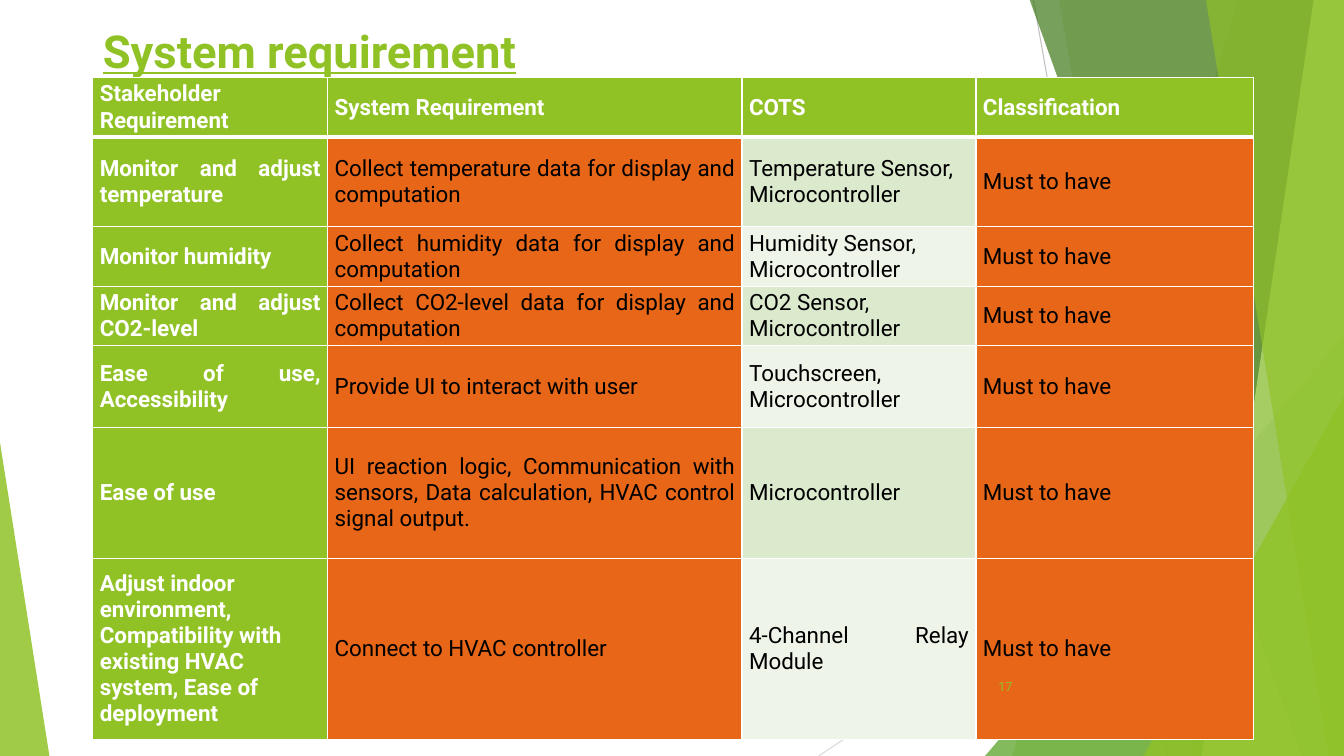
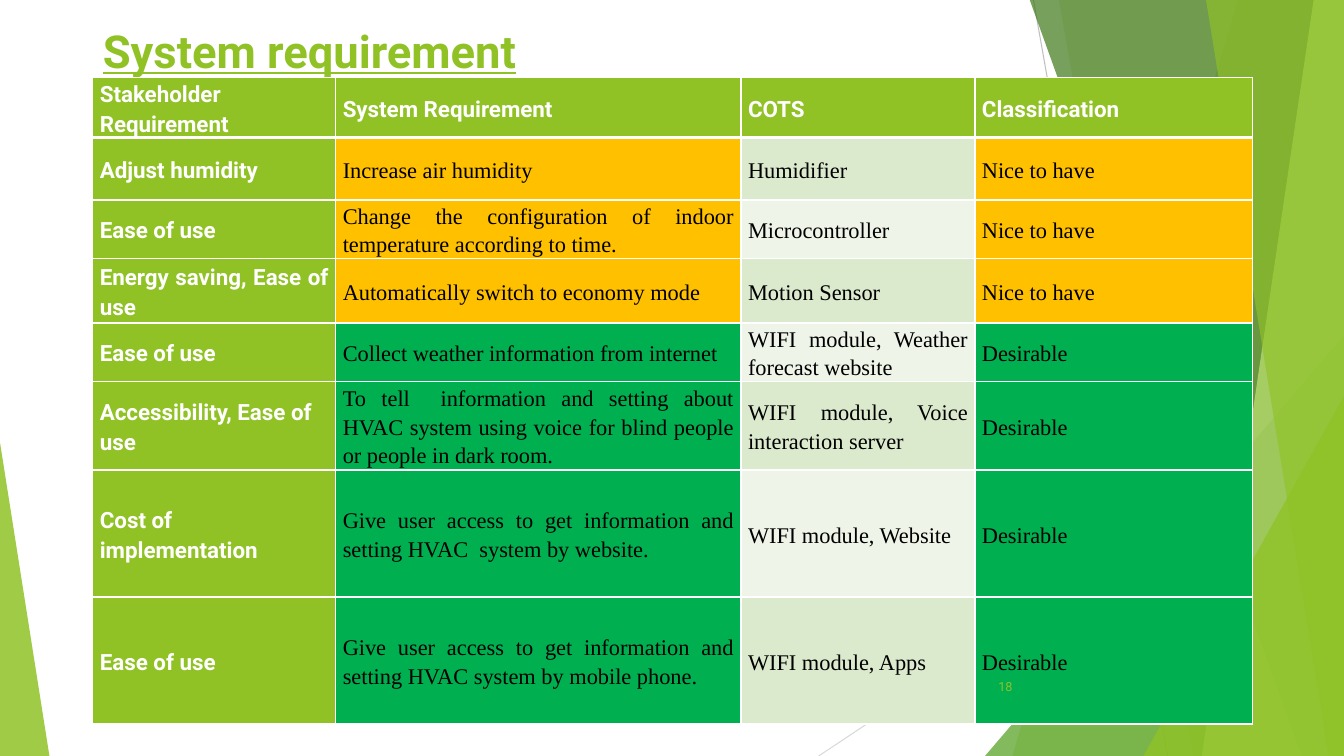
from dataclasses import dataclass
from typing import Any

from lxml.etree import SubElement
from pptx import Presentation
from pptx.dml.color import RGBColor
from pptx.enum.shapes import MSO_CONNECTOR as Link, MSO_SHAPE as Kind
from pptx.enum.text import MSO_ANCHOR as Anchor, MSO_AUTO_SIZE as Fit, PP_ALIGN as Align
from pptx.oxml import parse_xml
from pptx.oxml.ns import nsdecls, qn
from pptx.slide import Slide, SlideLayout
from pptx.util import Inches, Pt

WIDE, HIGH = 13.33, 7.5
LEFT, SPAN = 0.92, 11.5
TOP = 0.77

WHITE = RGBColor(0xFF, 0xFF, 0xFF)
BLACK = RGBColor(0, 0, 0)
LIME = RGBColor(0x90, 0xC2, 0x26)
LEAF = RGBColor(0x54, 0xA0, 0x21)
MOSS = RGBColor(0x3F, 0x78, 0x19)
PALE = RGBColor(0xC0, 0xE4, 0x74)
SILVER = RGBColor(0xBF, 0xBF, 0xBF)
MIST = RGBColor(0xD9, 0xD9, 0xD9)
RUST = RGBColor(0xE7, 0x66, 0x18)
AMBER = RGBColor(0xFF, 0xC0, 0x00)
JADE = RGBColor(0x00, 0xB0, 0x50)
BANDS = RGBColor(0xDB, 0xE9, 0xCD), RGBColor(0xEE, 0xF4, 0xE8)
RANKS = {"Must to have": RUST, "Nice to have": AMBER, "Desirable": JADE}

SANS, SERIF = "Roboto", "Times New Roman"
TITLE = {"name": SANS, "size": Pt(32.4), "bold": True, "underline": True}
HEAD = {"name": SANS, "size": Pt(16), "bold": True}
BODY = {"size": Pt(16), "bold": False}
NUMBER = {"name": SANS, "size": Pt(9)}
CELL = {
    "vertical_anchor": Anchor.MIDDLE,
    "margin_left": Inches(0.07), "margin_right": Inches(0.07),
    "margin_top": 0, "margin_bottom": 0,
}
ALIGNS = {"l": Align.LEFT, "j": Align.JUSTIFY}


@dataclass
class Ray:
    start: tuple[float, float]
    end: tuple[float, float]
    color: RGBColor


@dataclass
class Shard:
    """A pane from the right edge to a slanted side, top x to foot x."""
    top: float
    foot: float
    color: RGBColor
    alpha: int


@dataclass
class Wedge:
    """A triangle on the bottom edge; peak is 0 for left, 1 for right."""
    left: float
    top: float
    width: float
    peak: float
    color: RGBColor
    alpha: int


@dataclass
class Row:
    """One table row; align has a letter for each cell."""
    height: float
    align: str
    need: str
    system: str
    cots: str
    rank: str


@dataclass
class Page:
    number: int
    font: str
    spacing: float
    cols: tuple[float, ...]
    rows: list[Row]


RAYS = [
    Ray((10.25, 0), (11.58, HIGH), SILVER),
    Ray((WIDE, 4.03), (8.12, HIGH), MIST),
]
PANES = [
    Shard(12.28, 10.04, LIME, 30),
    Shard(10.5, 11.83, LIME, 20),
    Wedge(9.77, 3.33, 3.56, 1, LEAF, 72),
    Shard(10.21, 12.91, MOSS, 70),
    Shard(13.03, 11.92, PALE, 70),
    Shard(11.96, 13.18, LIME, 65),
    Wedge(11.34, 3.93, 1.99, 1, LIME, 80),
    Wedge(0, 4.39, 0.49, 0, LIME, 85),
]


def header(height: float) -> Row:
    return Row(height, "lljj", "Stakeholder Requirement", "System Requirement",
               "COTS", "Classification")


PAGES = [
    Page(17, SANS, 1, (2.33, 4.11, 2.32, 2.75), [
        header(0.59),
        Row(0.89, "jjlj", "Monitor and adjust temperature",
            "Collect temperature data for display and computation",
            "Temperature Sensor, Microcontroller", "Must to have"),
        Row(0.59, "jjlj", "Monitor humidity",
            "Collect humidity data for display and computation",
            "Humidity Sensor, Microcontroller", "Must to have"),
        Row(0.59, "jjlj", "Monitor and adjust CO2-level",
            "Collect CO2-level data for display and computation",
            "CO2 Sensor, Microcontroller", "Must to have"),
        Row(0.81, "jjlj", "Ease of use, Accessibility",
            "Provide UI to interact with user",
            "Touchscreen, Microcontroller", "Must to have"),
        Row(1.3, "ljjj", "Ease of use",
            "UI reaction logic, Communication with sensors, Data calculation, "
            "HVAC control signal output.",
            "Microcontroller", "Must to have"),
        Row(1.8, "ljjj",
            "Adjust indoor environment, Compatibility with existing HVAC system, "
            "Ease of deployment",
            "Connect to HVAC controller", "4-Channel Relay Module", "Must to have"),
    ]),
    Page(18, SERIF, 1.15, (2.41, 4.02, 2.32, 2.75), [
        header(0.58),
        Row(0.62, "ljjj", "Adjust humidity", "Increase air humidity",
            "Humidifier", "Nice to have"),
        Row(0.58, "ljjj", "Ease of use",
            "Change the configuration of indoor temperature according to time.",
            "Microcontroller", "Nice to have"),
        Row(0.64, "jjjj", "Energy saving, Ease of use",
            "Automatically switch to economy mode",
            "Motion Sensor", "Nice to have"),
        Row(0.58, "jjjj", "Ease of use",
            "Collect weather information from internet",
            "WIFI module, Weather forecast website", "Desirable"),
        Row(0.88, "ljjj", "Accessibility, Ease of use",
            "To tell  information and setting about HVAC system using voice "
            "for blind people or people in dark room.",
            "WIFI module, Voice interaction server", "Desirable"),
        Row(1.26, "ljjj", "Cost of implementation",
            "Give user access to get information and setting HVAC  system by website.",
            "WIFI module, Website", "Desirable"),
        Row(1.26, "jjjj", "Ease of use",
            "Give user access to get information and setting HVAC system "
            "by mobile phone.",
            "WIFI module, Apps", "Desirable"),
    ]),
]


def apply(target: Any, values: dict[str, Any]) -> None:
    for name, value in values.items():
        setattr(target, name, value)


def write(frame: Any, text: str, font: dict[str, Any], color: RGBColor,
          align: Align = Align.LEFT, spacing: float = 1) -> None:
    para = frame.paragraphs[0]
    apply(para, {"alignment": align, "line_spacing": spacing})
    run = para.add_run()
    run.text = text
    apply(run.font, font)
    run.font.color.rgb = color


def draw_ray(slide: Slide, ray: Ray) -> Any:
    ends = [Inches(v) for v in (*ray.start, *ray.end)]
    line = slide.shapes.add_connector(Link.STRAIGHT, *ends)
    line.line.color.rgb = ray.color
    line.line.width = Pt(0.75)
    SubElement(line.element.spPr, qn("a:effectLst"))
    return line


def draw_pane(slide: Slide, pane: Shard | Wedge) -> Any:
    if isinstance(pane, Shard):
        rim = -0.01
        points = [(WIDE, rim), (WIDE, HIGH), (pane.foot, HIGH)]
        form = slide.shapes.build_freeform(Inches(pane.top), Inches(rim))
        form.add_line_segments([(Inches(x), Inches(y)) for x, y in points])
        shape = form.convert_to_shape()
    else:
        box = pane.left, pane.top, pane.width, HIGH - pane.top
        shape = slide.shapes.add_shape(Kind.ISOSCELES_TRIANGLE, *map(Inches, box))
        shape.adjustments[0] = pane.peak
    shape.shadow.inherit = False
    shape.line.fill.background()
    shape.fill.solid()
    shape.fill.fore_color.rgb = pane.color
    tint = shape.element.spPr.find(".//" + qn("a:srgbClr"))
    SubElement(tint, qn("a:alpha")).set("val", str(pane.alpha * 1000))
    return shape


def add_decor(slide: Slide, layout: SlideLayout) -> None:
    """Draw on the slide, then move the shapes to its layout for all to share."""
    shapes = [draw_ray(slide, ray) for ray in RAYS]
    shapes += [draw_pane(slide, pane) for pane in PANES]
    for shape in shapes:
        layout.shapes.element.append(shape.element)


def add_edges(cell: Any, row: int) -> None:
    """Rule the cell in white, with a thick line under the header."""
    widths = {"lnL": 1, "lnR": 1, "lnT": 3 if row == 1 else 1,
              "lnB": 3 if row == 0 else 1}
    props = cell._tc.get_or_add_tcPr()
    for spot, (tag, width) in enumerate(widths.items()):
        props.insert(spot, parse_xml(
            f'<a:{tag} {nsdecls("a")} w="{Pt(width)}"><a:solidFill>'
            f'<a:srgbClr val="{WHITE}"/></a:solidFill></a:{tag}>'))


def add_title(slide: Slide) -> None:
    title = slide.shapes.title
    box = LEFT, 0.16, SPAN, 0.61
    apply(title, dict(zip(("left", "top", "width", "height"), map(Inches, box))))
    apply(title.text_frame, {"auto_size": Fit.NONE, "margin_bottom": 0,
                             "vertical_anchor": Anchor.BOTTOM})
    write(title.text_frame, "System requirement", TITLE, LIME)


def add_grid(slide: Slide, page: Page) -> None:
    height = sum(row.height for row in page.rows)
    box = LEFT, TOP, SPAN, height
    table = slide.shapes.add_table(
        len(page.rows), len(page.cols), *map(Inches, box)).table
    table.horz_banding = False
    for col, width in zip(table.columns, page.cols):
        col.width = Inches(width)
    for r, row in enumerate(page.rows):
        table.rows[r].height = Inches(row.height)
        mark = RANKS.get(row.rank, LIME)
        band = BANDS[(r - 1) % 2] if r else LIME
        texts = row.need, row.system, row.cots, row.rank
        fills = LIME, mark, band, mark
        for c, (text, fill, align) in enumerate(zip(texts, fills, row.align)):
            cell = table.cell(r, c)
            apply(cell, CELL)
            cell.fill.solid()
            cell.fill.fore_color.rgb = fill
            add_edges(cell, r)
            bold = r == 0 or c == 0
            font = HEAD if bold else BODY | {"name": page.font}
            write(cell.text_frame, text, font, WHITE if bold else BLACK,
                  ALIGNS[align], page.spacing)


def add_number(slide: Slide, number: int) -> None:
    box = slide.shapes.add_textbox(*map(Inches, (9.39, 6.61, 0.75, 0.4)))
    apply(box.text_frame, {"word_wrap": True, "vertical_anchor": Anchor.MIDDLE})
    write(box.text_frame, str(number), NUMBER, LIME, Align.RIGHT)


def main() -> None:
    deck = Presentation()
    apply(deck, {"slide_width": Inches(WIDE), "slide_height": Inches(HIGH)})
    layout = deck.slide_layouts.get_by_name("Title Only")
    for page in PAGES:
        slide = deck.slides.add_slide(layout)
        if page is PAGES[0]:
            add_decor(slide, layout)
        add_title(slide)
        add_grid(slide, page)
        add_number(slide, page.number)
    deck.save("out.pptx")


if __name__ == "__main__":
    main()
